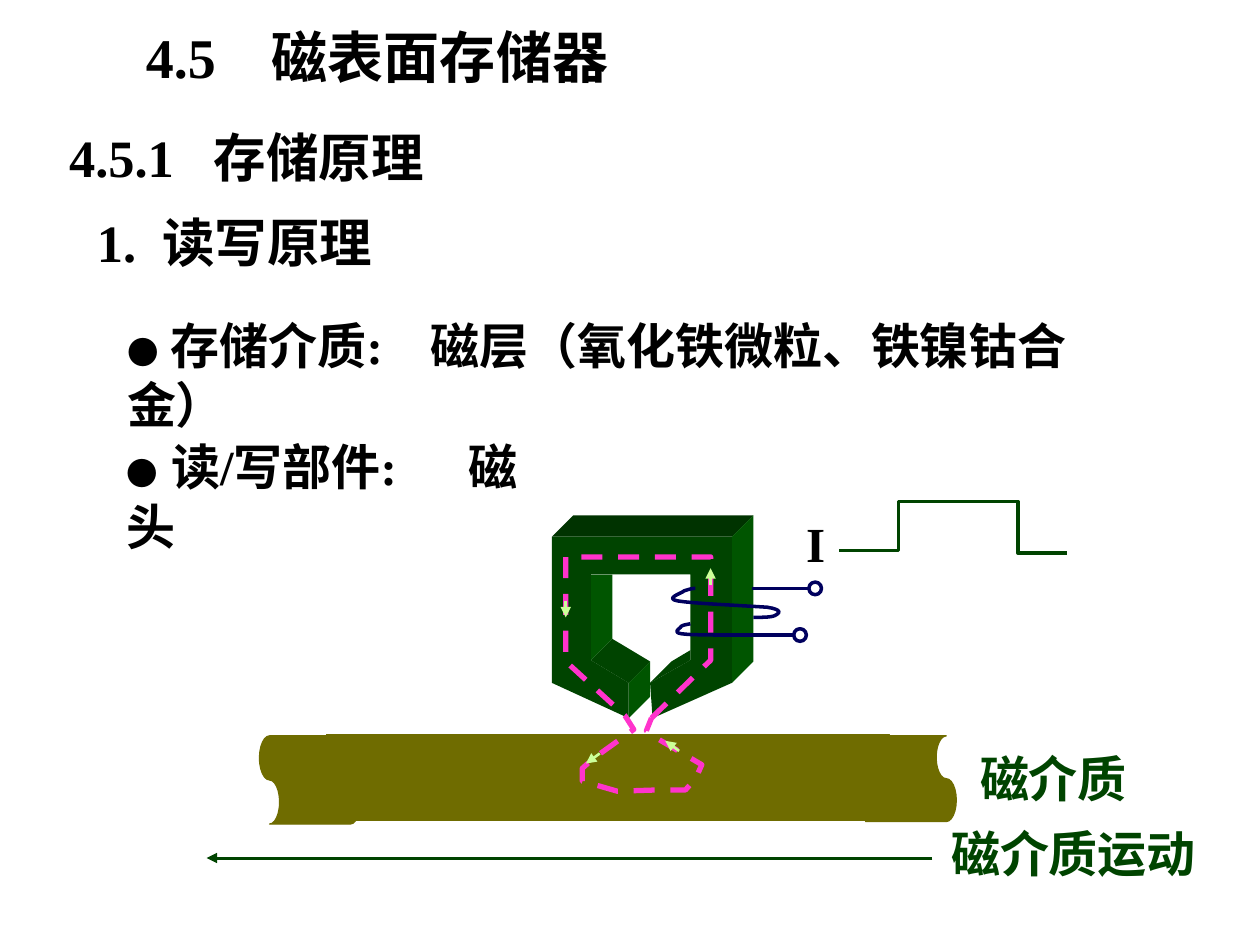
from lxml import etree
from pptx import Presentation
from pptx.dml.color import RGBColor
from pptx.enum import dml, shapes, text
from pptx.oxml import ns
from pptx.util import Inches, Pt

COLORS = {"ink": "000000", "green": "004400", "top": "003300", "side": "005500",
          "medium": "6F6C00", "coil": "00005E", "flux": "FF33CC", "arrow": "CCFF99"}
FONT = "Times New Roman"


def rgb(name):
    """Return the named colour."""
    return RGBColor.from_string(COLORS[name])


def style(sp, fill=None, line=None, width=1, dash=None):
    """Set the fill and outline of a shape."""
    sp.shadow.inherit = False
    if fill:
        sp.fill.solid()
        sp.fill.fore_color.rgb = rgb(fill)
    else:
        sp.fill.background()
    if line:
        sp.line.color.rgb = rgb(line)
        sp.line.width = Pt(width)
        sp.line.dash_style = dash
    else:
        sp.line.fill.background()


def outline(s, x, y, points, close=False, **look):
    """Draw a polygon or open path whose points are relative to x, y."""
    pts = [(Inches(x + px), Inches(y + py)) for px, py in points]
    builder = s.shapes.build_freeform(*pts[0], scale=1.0)
    builder.add_line_segments(pts[1:], close=close)
    style(builder.convert_to_shape(), **look)


def preset(s, kind, x, y, w, h, rotation=0, **look):
    """Draw a preset shape."""
    sp = s.shapes.add_shape(kind, Inches(x), Inches(y), Inches(w), Inches(h))
    sp.rotation = rotation
    style(sp, **look)


def line(s, x1, y1, x2, y2, color, width, arrow=False):
    """Draw a straight line, with an arrowhead at its end if asked."""
    c = s.shapes.add_connector(shapes.MSO_CONNECTOR.STRAIGHT,
                               Inches(x1), Inches(y1), Inches(x2), Inches(y2))
    c.line.color.rgb = rgb(color)
    c.line.width = Pt(width)
    if arrow:
        etree.SubElement(c.line._get_or_add_ln(), ns.qn("a:tailEnd"), type="triangle")
    etree.SubElement(c._element.spPr, ns.qn("a:effectLst"))


def label(s, x, y, w, h, runs, color="ink", tabs=(), wrap=True):
    """Write one bold paragraph of (text, size) runs with tab stops."""
    tf = s.shapes.add_textbox(Inches(x), Inches(y), Inches(w), Inches(h)).text_frame
    frame = {"word_wrap": wrap, "auto_size": text.MSO_AUTO_SIZE.SHAPE_TO_FIT_TEXT}
    for name, value in frame.items():
        setattr(tf, name, value)
    p = tf.paragraphs[0]
    if tabs:
        stops = etree.SubElement(p._p.get_or_add_pPr(), ns.qn("a:tabLst"))
        for tab in tabs:
            etree.SubElement(stops, ns.qn("a:tab"), pos=str(Inches(tab)), algn="l")
    for words, size in runs:
        r = p.add_run()
        r.text = words
        for name, value in {"name": FONT, "size": Pt(size), "bold": True}.items():
            setattr(r.font, name, value)
        r.font.color.rgb = rgb(color)


def curve(start, *segments, steps=8):
    """Return points along joined cubic curves."""
    points = [start]
    for a, b, end in segments:
        p0 = points[-1]
        for i in range(1, steps + 1):
            t = i / steps
            u = 1 - t
            points.append(tuple(u**3 * p0[k] + 3 * u * u * t * a[k]
                                + 3 * u * t * t * b[k] + t**3 * end[k] for k in (0, 1)))
    return points


def headings(s, x, y):
    """Write the numbered headings and the two bullet points."""
    for dx, dy, w, h, words, size, tab in [
            (0.61, 0, 4.38, 0.63, "4.5\t磁表面存储器", 32, 1),
            (0, 0.81, 6.43, 0.61, "4.5.1\t存储原理", 30, 1.15),
            (0.22, 1.49, 3.2, 0.6, "1.\t读写原理", 30, 0.52)]:
        label(s, x + dx, y + dy, w, h, [(words, size)], tabs=[tab])
    for dy, w, gap, words, tab in [
            (2.28, 8.02, 31, "存储介质:\t磁层（氧化铁微粒、铁镍钴合金）", 2.41),
            (3.23, 3.6, 32, "读/写部件:\t磁头", 2.71)]:
        label(s, x + 0.46, y + dy, w, 0.63, [("●", 18), (" ", gap), (words, 28)], tabs=[tab])


def pulse(s, x, y):
    """Draw the write current pulse and its label."""
    outline(s, x, y, [(0, 0.39), (0.47, 0.39), (0.47, 0), (1.42, 0), (1.42, 0.41),
                      (1.81, 0.41)], line="green", width=2)
    label(s, x - 0.36, y + 0.05, 0.58, 0.57, [("I", 28)])


def medium(s, x, y):
    """Draw the strip of magnetic medium with its torn ends."""
    look = {"fill": "medium", "line": "medium", "width": 0.75}
    preset(s, shapes.MSO_SHAPE.RECTANGLE, x + 0.48, y, 4.47, 0.68, **look)
    for dx, dy, w in [(0, -0.04, 0.7), (4.74, -0.05, 0.68)]:
        preset(s, shapes.MSO_SHAPE.FLOWCHART_PUNCHED_TAPE, x + dx, y + dy, w, 0.8,
               rotation=270, **look)


def head(s, x, y, depth=0.17):
    """Draw the slotted magnetic head as an extruded solid."""
    front = [(0.61, 1.44), (0.61, 1.16), (0.31, 0.98), (0.31, 0.3), (1.1, 0.3),
             (1.1, 0.98), (0.78, 1.16), (0.8, 1.44), (1.43, 1.16), (1.43, 0),
             (0, 0), (0, 1.16)]
    for start, end, color in [(10, 9, "top"), (9, 8, "side"), (2, 1, "green"),
                              (1, 0, "side")]:
        a, b = front[start], front[end]
        back = [(px + depth, py - depth) for px, py in (b, a)]
        outline(s, x, y, [a, b, *back], True, fill=color)
    outline(s, x, y, [(0.31, 0.3), (0.31 + depth, 0.3), (0.31 + depth, 0.98 - depth),
                      (0.31, 0.98)], True, fill="side")
    outline(s, x, y, [(0.78, 1.16), (0.95, 0.99), (1.1, 0.9), (1.1, 0.98)], True, fill="green")
    outline(s, x, y, front, True, fill="green")


def coil(s, x, y):
    """Draw the winding and its two terminals."""
    look = {"line": "coil", "width": 2}
    outline(s, x, y, curve(
        (0.25, 0),
        ((0.22, 0), (0.19, 0.01), (0.16, 0.02)),
        ((0.14, 0.04), (0, 0.08), (0.11, 0.1)),
        ((0.22, 0.12), (0.69, 0.14), (0.82, 0.15)),
        ((0.95, 0.17), (0.91, 0.2), (0.89, 0.21)),
        ((0.87, 0.23), (0.79, 0.23), (0.71, 0.23))), **look)
    outline(s, x, y, curve(
        (0.21, 0.28),
        ((0.17, 0.29), (0.14, 0.29), (0.13, 0.31)),
        ((0.12, 0.32), (0.07, 0.35), (0.14, 0.36)),
        ((0.21, 0.37), (0.38, 0.37), (0.55, 0.37))), **look)
    for start, end, dy in [(0.7, 1.15, 0), (0.39, 1.03, 0.37)]:
        line(s, x + start, y + dy, x + end, y + dy, "coil", 2)
        preset(s, shapes.MSO_SHAPE.OVAL, x + end, y + dy - 0.05, 0.1, 0.1, **look)


def flux(s, x, y):
    """Draw the dashed flux loop and its direction arrows."""
    loop = [(0.68, 1.28), (1.15, 0.82), (1.15, 0), (0, 0), (0, 0.83), (0.47, 1.26),
            (0.54, 1.37), (0.22, 1.6), (0.13, 1.68), (0.13, 1.78), (0.41, 1.86),
            (0.73, 1.85), (0.95, 1.85), (1.03, 1.76), (1.08, 1.65), (0.74, 1.45),
            (0.64, 1.38)]
    outline(s, x, y, loop, True, line="flux", width=3, dash=dml.MSO_LINE.DASH)
    for x1, y1, x2, y2 in [(0, 0.35, 0, 0.48), (1.15, 0.22, 1.15, 0.09),
                           (0.27, 1.56, 0.16, 1.64), (0.9, 1.54, 0.79, 1.46)]:
        line(s, x + x1, y + y1, x + x2, y + y2, "arrow", 1.5, True)


def motion(s, x, y):
    """Draw the motion arrow and the labels of the medium."""
    line(s, x + 5.76, y, x, y, "green", 1.75, True)
    label(s, x + 5.81, y - 0.32, 2.62, 0.57, [("磁介质运动", 28)], "green")
    label(s, x + 6.04, y - 0.92, 1.37, 0.57, [("磁介质", 28)], "green", wrap=False)


def main():
    """Build and save the slide."""
    prs = Presentation()
    prs.slide_width, prs.slide_height = Inches(10), Inches(7.5)
    s = prs.slides.add_slide(prs.slide_layouts[6])
    for draw, x, y in [(headings, 0.45, 0.13), (pulse, 6.66, 3.98), (medium, 2.11, 5.83),
                       (head, 4.38, 4.26), (coil, 5.27, 4.67), (flux, 4.49, 4.42),
                       (motion, 1.64, 6.81)]:
        draw(s, x, y)
    prs.save("out.pptx")


if __name__ == "__main__":
    main()
